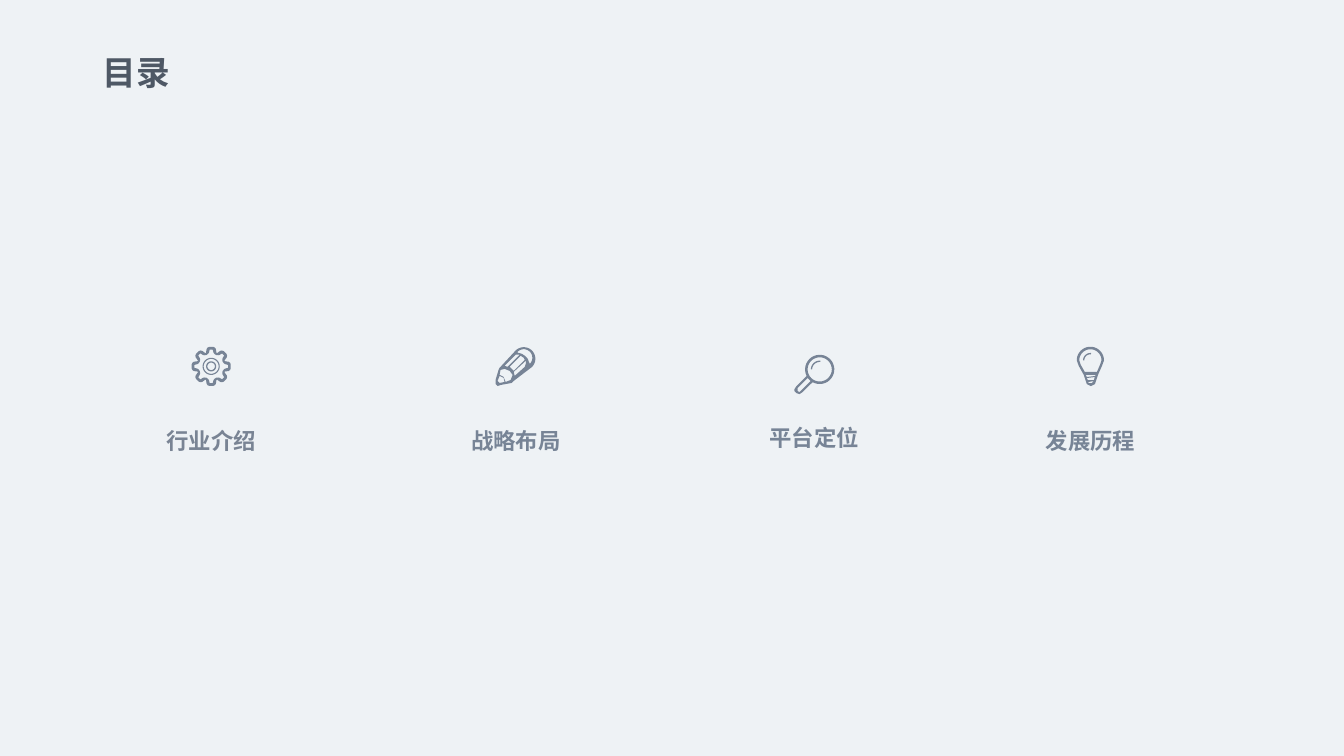
from math import cos, radians, sin

from lxml.etree import SubElement
from pptx import Presentation
from pptx.dml.color import RGBColor
from pptx.enum.text import MSO_AUTO_SIZE, PP_ALIGN
from pptx.oxml.ns import qn
from pptx.util import Inches, Pt

BACKGROUND = RGBColor(0xEE, 0xF2, 0xF5)
TITLE = RGBColor(0x4E, 0x58, 0x65)
SLATE = RGBColor(0x77, 0x84, 0x96)
SLATE_LIGHT = RGBColor(0x79, 0x84, 0x94)
CJK_FONT = "Noto Sans CJK SC"
LABEL_WIDTH, LABEL_HEIGHT = 2.25, 0.42


def add_text(shapes, text, left, top, width, height, *, size, color, font,
             align=PP_ALIGN.LEFT, spacing=1.0, wrap=True):
    box = shapes.add_textbox(Inches(left), Inches(top), Inches(width), Inches(height))
    frame = box.text_frame
    frame.word_wrap = wrap
    frame.auto_size = MSO_AUTO_SIZE.SHAPE_TO_FIT_TEXT
    para = frame.paragraphs[0]
    para.alignment = align
    para.line_spacing = spacing
    span = para.add_run()
    span.text = text
    span.font.size = Pt(size)
    span.font.bold = True
    span.font.color.rgb = color
    span.font.name = font
    SubElement(span.font._element, qn("a:ea"), typeface=CJK_FONT)


def polar(center, radius, angle):
    return (center[0] + radius * cos(radians(angle)),
            center[1] + radius * sin(radians(angle)))


def arc(center, radius, start, end, steps=32):
    return [polar(center, radius, start + (end - start) * step / steps)
            for step in range(steps + 1)]


def ring(center, outer, inner):
    return [arc(center, outer, 0, 360), arc(center, inner, 0, 360)]


def glint(center, outer, inner):
    return [arc(center, outer, 180, 275) + arc(center, inner, 275, 180)]


def cog(center, profile, teeth=8):
    return [polar(center, radius, tooth * 360 / teeth + angle)
            for tooth in range(teeth) for angle, radius in profile]


def draw_outline(shapes, contours, left, top):
    placed = [[(Inches(left + x), Inches(top + y)) for x, y in contour]
              for contour in contours]
    builder = shapes.build_freeform(*placed[0][0], scale=1.0)
    for index, contour in enumerate(placed):
        if index:
            builder.move_to(*contour[0])
        builder.add_line_segments(contour[1:], close=True)
    outline = builder.convert_to_shape()
    outline.shadow.inherit = False
    outline.fill.solid()
    outline.fill.fore_color.rgb = SLATE
    outline.line.fill.background()


def gear():
    hub = (0.195, 0.195)
    outside = [(-21, 0.144), (-15, 0.178), (-11, 0.19), (-6, 0.195),
               (6, 0.195), (11, 0.19), (15, 0.178), (21, 0.144)]
    inside = [(-21, 0.123), (-13, 0.13), (-9, 0.14), (-5, 0.168),
              (5, 0.168), (9, 0.14), (13, 0.13), (21, 0.123)]
    return 0.39, [[cog(hub, outside), cog(hub, inside)],
                  ring(hub, 0.085, 0.074), ring(hub, 0.05, 0.037)]


def pencil():
    body = arc((0.28, 0.12), 0.115, 225, 405) + [
        (0.18, 0.34), (0.16, 0.36), (0.05, 0.38), (0.02, 0.39),
        (0, 0.37), (0, 0.33), (0.03, 0.23), (0.04, 0.21)]
    cap = arc((0.28, 0.11), 0.085, 225, 405) + [
        (0.33, 0.15), (0.32, 0.12), (0.29, 0.09), (0.26, 0.07), (0.22, 0.06)]
    lower_side = [(0.19, 0.29), (0.18, 0.25), (0.3, 0.14), (0.3, 0.17), (0.29, 0.2)]
    middle_side = [(0.18, 0.24), (0.14, 0.2), (0.25, 0.09), (0.28, 0.11), (0.29, 0.13)]
    upper_side = [(0.12, 0.2), (0.09, 0.19), (0.18, 0.1), (0.2, 0.08), (0.24, 0.08)]
    lead = [(0.04, 0.36), (0.02, 0.34), (0.04, 0.29), (0.08, 0.31), (0.09, 0.35)]
    wood = [(0.1, 0.35), (0.08, 0.3), (0.04, 0.28), (0.05, 0.23),
            (0.09, 0.22), (0.14, 0.24), (0.17, 0.28), (0.15, 0.33)]
    return 0.4, [[body, cap, lower_side, middle_side, upper_side, lead, wood]]


def magnifier():
    lens = (0.25, 0.145)
    rim = arc(lens, 0.145, 153, 479) + [
        (0.08, 0.37), (0.05, 0.39), (0.02, 0.38), (0, 0.36), (0, 0.34), (0.02, 0.31)]
    handle = [(0.06, 0.36), (0.05, 0.37), (0.03, 0.36), (0.03, 0.33),
              (0.13, 0.23), (0.16, 0.26)]
    return 0.39, [[rim, arc(lens, 0.12, 0, 360), handle], glint(lens, 0.087, 0.074)]


def bulb():
    heart = (0.135, 0.135)
    body = arc(heart, 0.135, 180, 360) + [
        (0.25, 0.19), (0.21, 0.28), (0.18, 0.37), (0.14, 0.39),
        (0.1, 0.37), (0.07, 0.28), (0.02, 0.19)]
    glass = arc(heart, 0.11, 180, 360) + [
        (0.23, 0.18), (0.2, 0.25), (0.08, 0.25), (0.04, 0.18)]
    upper_band = [(0.1, 0.3), (0.09, 0.28), (0.19, 0.28), (0.18, 0.29)]
    middle_band = [(0.11, 0.33), (0.1, 0.31), (0.18, 0.3), (0.17, 0.33)]
    foot = [(0.11, 0.35), (0.17, 0.34), (0.15, 0.36), (0.12, 0.36)]
    return 0.27, [[body, glass, upper_band, middle_band, foot],
                  glint(heart, 0.073, 0.06)]


def add_entry(page, text, icon, left, label_top, icon_top, color=SLATE):
    shapes = page.shapes.add_group_shape().shapes
    icon_width, outlines = icon()
    for contours in outlines:
        draw_outline(shapes, contours, left + (LABEL_WIDTH - icon_width) / 2, icon_top)
    add_text(shapes, text, left, label_top, LABEL_WIDTH, LABEL_HEIGHT, size=16,
             color=color, font=CJK_FONT, align=PP_ALIGN.CENTER, spacing=1.3)


def build_contents(deck):
    page = deck.slides.add_slide(deck.slide_layouts[6])
    page.background.fill.solid()
    page.background.fill.fore_color.rgb = BACKGROUND
    add_entry(page, "行业介绍", gear, 0.97, 4.11, 3.44, SLATE_LIGHT)
    add_entry(page, "战略布局", pencil, 3.99, 4.11, 3.44)
    add_entry(page, "发展历程", bulb, 9.69, 4.11, 3.44)
    add_entry(page, "平台定位", magnifier, 6.95, 4.08, 3.52)
    add_text(page.shapes, "目录", 0.92, 0.47, 0.88, 0.5, size=24,
             color=TITLE, font="Calibri", wrap=False)


def main():
    deck = Presentation()
    deck.slide_width, deck.slide_height = Inches(13.33), Inches(7.5)
    build_contents(deck)
    deck.save("out.pptx")


if __name__ == "__main__":
    main()
